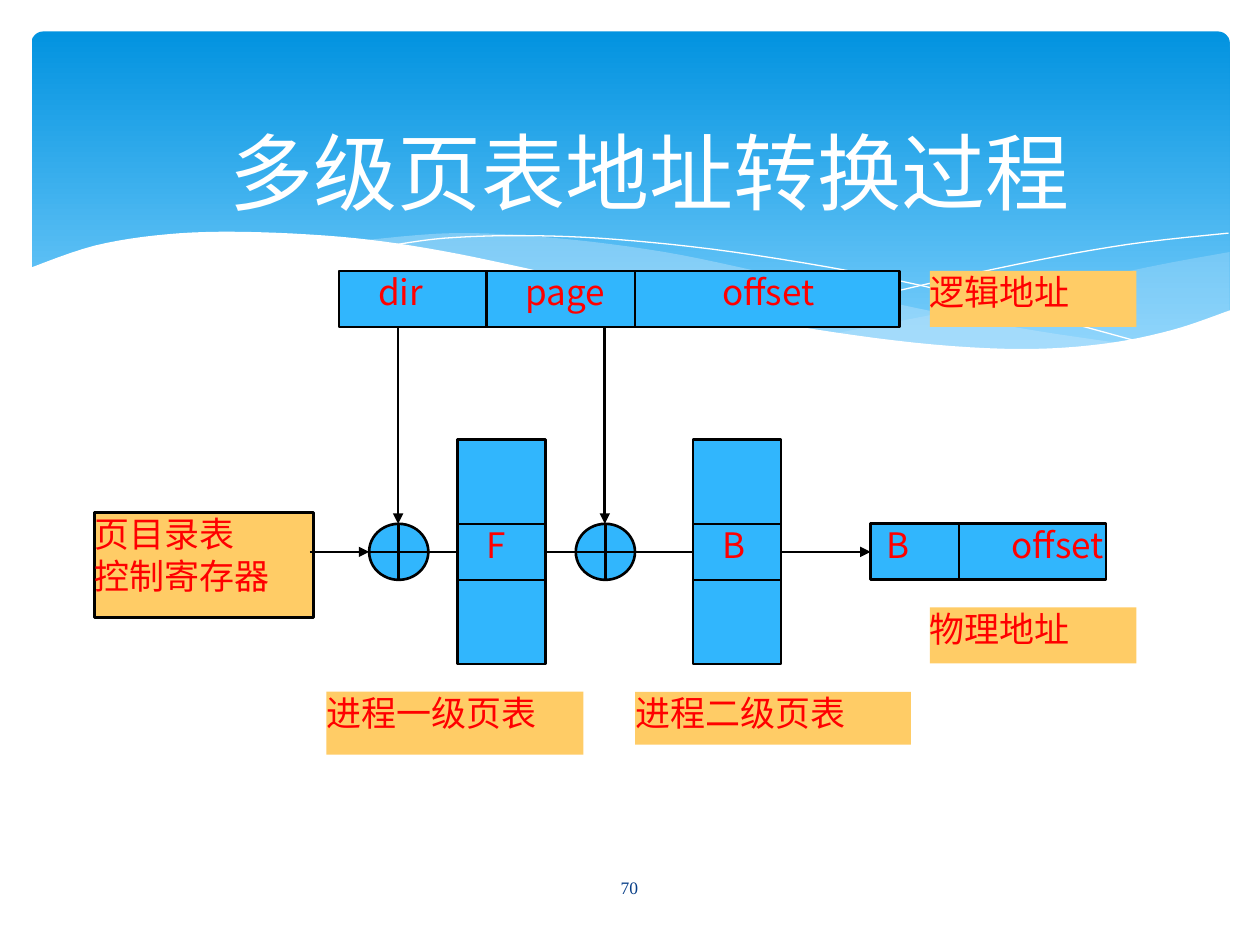
from lxml.etree import SubElement
from pptx import Presentation
from pptx.dml.color import RGBColor
from pptx.enum.shapes import MSO_CONNECTOR as Link, MSO_SHAPE as Shape
from pptx.enum.text import MSO_ANCHOR as Anchor, PP_ALIGN as Align
from pptx.oxml.ns import qn
from pptx.util import Inches, Pt

WHITE = RGBColor(0xFF, 0xFF, 0xFF)
BLACK = RGBColor(0, 0, 0)
RED = RGBColor(0xFF, 0, 0)
NAVY = RGBColor(0x07, 0x3E, 0x87)
BLUE = RGBColor(0x31, 0xB6, 0xFD)
GOLD = RGBColor(0xFF, 0xCC, 0x66)
PALE = RGBColor(0xC6, 0xE7, 0xFC)
DEEP = RGBColor(0x02, 0x93, 0xE0)
SKY = RGBColor(0x83, 0xD3, 0xFE)
SANS = "Noto Sans CJK JP"
ROW = 0.445  # height of bars, cells and adders
MID = 4.38   # axis of the lookup chain
TOP = MID - ROW / 2


def style(para, size, color, face=SANS, align=Align.LEFT, tabs=()):
    para.alignment = align
    props = para._p.get_or_add_pPr()
    if tabs:
        stops = SubElement(props, qn("a:tabLst"))
        for pos in tabs:
            SubElement(stops, qn("a:tab"), pos=str(Inches(pos)), algn="l")
    font = para.font
    font.size, font.name, font.color.rgb = Pt(size), face, color
    SubElement(props.find(qn("a:defRPr")), qn("a:ea"), typeface=face)


def block(slide, x, y, w, h, fill=BLUE, edge=True, text="", tabs=(), kind=Shape.RECTANGLE):
    shape = slide.shapes.add_shape(kind, *map(Inches, (x, y, w, h)))
    shape.shadow.inherit = False
    shape.fill.solid()
    shape.fill.fore_color.rgb = fill
    if edge:
        shape.line.color.rgb, shape.line.width = BLACK, Pt(1.5)
    else:
        shape.line.fill.background()
    if text:
        frame = shape.text_frame
        frame.word_wrap = True
        frame.vertical_anchor = Anchor.TOP
        frame.margin_left = frame.margin_right = 0
        frame.margin_top = frame.margin_bottom = 0
        frame.text = text
        for para in frame.paragraphs:
            style(para, 20, RED, tabs=tabs)
    return shape


def wire(slide, x1, y1, x2, y2, arrow=False, start=None, end=None):
    line = slide.shapes.add_connector(Link.STRAIGHT, *map(Inches, (x1, y1, x2, y2)))
    if start is not None:
        line.begin_connect(start, 3)
    if end is not None:
        line.end_connect(end, 1)
    line.line.color.rgb, line.line.width = BLACK, Pt(1.5)
    props = line._element.spPr
    if arrow:
        SubElement(props.find(qn("a:ln")), qn("a:tailEnd"), type="triangle")
    SubElement(props, qn("a:effectLst"))


def smooth(keys, steps=6):
    """Catmull-Rom curve through the key points."""
    pts = [keys[0], *keys, keys[-1]]
    out = [keys[0]]
    for a, b, c, d in zip(pts, pts[1:], pts[2:], pts[3:]):
        for i in range(1, steps + 1):
            t = i / steps
            out.append(tuple(
                (2 * q + (r - p) * t + (2 * p - 5 * q + 4 * r - s) * t**2
                 + (3 * q - p - 3 * r + s) * t**3) / 2
                for p, q, r, s in zip(a, b, c, d)))
    return out


def wave(slide, pts, fill=None, alpha=100):
    pts = [(Inches(x), Inches(y)) for x, y in pts]
    path = slide.shapes.build_freeform(*pts[0], scale=1.0)
    path.add_line_segments(pts[1:], close=fill is not None)
    shape = path.convert_to_shape()
    shape.shadow.inherit = False
    if fill is None:
        shape.fill.background()
        shape.line.color.rgb, shape.line.width = WHITE, Pt(0)
        return
    shape.line.fill.background()
    shape.fill.solid()
    shape.fill.fore_color.rgb = fill
    if alpha < 100:
        color = shape._element.spPr.find(qn("a:solidFill"))[0]
        SubElement(color, qn("a:alpha"), val=str(alpha * 1000))


def backdrop(slide, x, y, w, h):
    # Gradient panel
    panel = block(slide, x, y, w, h, edge=False, kind=Shape.ROUNDED_RECTANGLE)
    panel.adjustments[0] = 0.034
    panel.fill.gradient()
    panel.fill.gradient_angle = 270
    for stop, color, pos in zip(panel.fill.gradient_stops, (DEEP, SKY), (0, 1)):
        stop.color.rgb, stop.position = color, pos
    # Translucent bands
    right = x + w
    wave(slide, smooth([(right, 2), (9.21, 2.1), (8.61, 2.23), (7.79, 2.42), (6.61, 2.65)])
         + smooth([(6.61, 2.65), (7.18, 2.73), (7.69, 2.77), (8.24, 2.77), (8.72, 2.74),
                   (9.21, 2.65), (right, 2.47)]), PALE, 29)
    wave(slide, smooth([(8.93, 2.73), (8.07, 2.6), (7.06, 2.4), (6.13, 2.18), (5.27, 2),
                        (4.41, 1.89), (3.61, 1.85), (2.86, 1.91)])
         + smooth([(2.86, 1.91), (3.62, 2.03), (4.49, 2.22), (5.66, 2.48), (6.65, 2.66),
                   (7.48, 2.76), (8.18, 2.79), (8.93, 2.73)]), PALE, 40)
    # Hairlines
    wave(slide, smooth([(3.09, 1.95), (3.53, 1.89), (4.16, 1.87), (4.89, 1.9), (5.82, 2),
                        (6.95, 2.19), (7.95, 2.42), (9.07, 2.72)]))
    wave(slide, smooth([(6.13, 2.57), (6.95, 2.35), (8.06, 2.1), (8.95, 1.94), (9.75, 1.85)]))
    # White foreground
    wave(slide, smooth([(9.77, 2.46), (9.3, 2.62), (8.75, 2.73), (8.09, 2.77), (7.26, 2.72),
                        (6.26, 2.58), (5.29, 2.39), (4.18, 2.13), (3.39, 1.97), (2.71, 1.88),
                        (1.93, 1.84), (1.32, 1.86), (0.75, 1.95), (0.23, 2.13)])
         + [(0.23, 3.29), (9.77, 3.29)], WHITE)


def heading(slide, x, y, w, h):
    title = slide.shapes.title
    title.left, title.top, title.width, title.height = map(Inches, (x, y, w, h))
    title.text_frame.text = "多级页表地址转换过程 "
    title.text_frame.vertical_anchor = Anchor.MIDDLE
    style(title.text_frame.paragraphs[0], 48, WHITE, align=Align.CENTER)


def fields(slide, x, y, w, text, tabs, cuts):
    """Address bar split into fields."""
    bar = block(slide, x, y, w, ROW, text=text, tabs=tabs)
    for cut in cuts:
        wire(slide, x + cut, y, x + cut, y + ROW)
    return bar


def table(slide, x, y, w, h, entry):
    """Page table with one marked entry."""
    box = block(slide, x, y, w, h)
    block(slide, x + w / 3, TOP, w / 3, ROW, edge=False, text=entry)
    for edge in (TOP, TOP + ROW):
        wire(slide, x, edge, x + w, edge)
    return box


def diagram(slide):
    # Addresses and tables
    fields(slide, 2.69, 2.15, 4.45, "\tdir\tpage\toffset", (0.31, 1.48, 3.04), (1.17, 2.35))
    real = fields(slide, 6.91, TOP, 1.87, "\tB\toffset", (0.13, 1.12), (0.7,))
    first, second = (table(slide, x, 3.49, 0.7, 1.78, entry)
                     for x, entry in ((3.63, "F"), (5.5, "B")))
    # Captions
    for x, y, w, h, text in ((2.59, 5.49, 2.04, 0.5, "进程一级页表"),
                             (5.04, 5.49, 2.19, 0.42, "进程二级页表"),
                             (7.38, 4.82, 1.64, ROW, "物理地址"),
                             (7.38, 2.15, 1.64, ROW, "逻辑地址")):
        block(slide, x, y, w, h, GOLD, False, text)
    block(slide, 0.75, 4.07, 1.74, 0.83, GOLD, text="页目录表\n控制寄存器")
    # Lookup chain
    wire(slide, 2.46, MID, 2.93, MID, True)
    wire(slide, 3.4, MID, 3.63, MID, end=first)
    wire(slide, 4.33, MID, 4.57, MID, start=first)
    wire(slide, 5.04, MID, 5.5, MID, end=second)
    wire(slide, 6.2, MID, 6.91, MID, True, second, real)
    # Adders fed by dir and page
    for x in (2.93, 4.57):
        block(slide, x, TOP, 0.47, ROW, kind=Shape.FLOWCHART_OR)
        wire(slide, x + 0.23, 2.6, x + 0.23, TOP, True)


def number(slide, x, y, w, h):
    frame = slide.shapes.add_textbox(*map(Inches, (x, y, w, h))).text_frame
    frame.word_wrap = True
    frame.vertical_anchor = Anchor.MIDDLE
    frame.text = "70"
    style(frame.paragraphs[0], 10, NAVY, "Times New Roman", Align.CENTER)


def main():
    deck = Presentation()
    deck.slide_width, deck.slide_height = Inches(10), Inches(7.5)
    slide = deck.slides.add_slide(deck.slide_layouts[5])
    backdrop(slide, 0.25, 0.25, 9.51, 2.7)
    # Bring the title in front of the backdrop
    slide.shapes._spTree.append(slide.shapes.title._element)
    heading(slide, 0.98, 0.85, 8.5, 1.01)
    diagram(slide)
    number(slide, 4.36, 6.84, 1.27, 0.4)
    deck.save("out.pptx")


if __name__ == "__main__":
    main()
